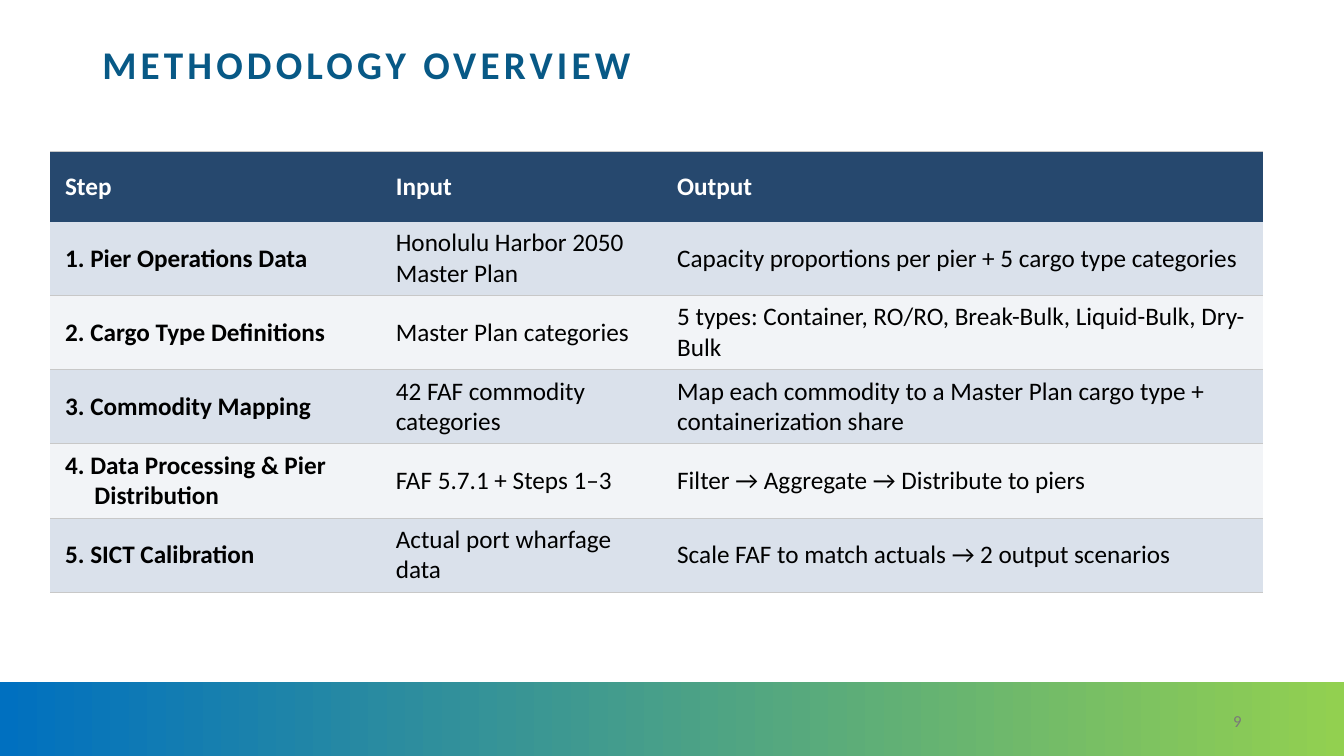
"""Build the methodology overview slide with its table of steps."""
from dataclasses import dataclass
from typing import Any, NamedTuple

from lxml.etree import SubElement
from pptx import Presentation
from pptx.dml.color import RGBColor as Rgb
from pptx.enum.shapes import MSO_SHAPE as Preset
from pptx.enum.text import MSO_ANCHOR as Anchor, PP_ALIGN as Align
from pptx.oxml.ns import qn
from pptx.util import Pt

EMU_PER_PX = 9525


@dataclass(frozen=True)
class Theme:
    font: str = "Calibri"
    title: str = "085986"
    header: str = "26486E"
    header_text: str = "FFFFFF"
    body_text: str = "000000"
    stripes: tuple[str, str] = ("DAE1EB", "F2F4F7")
    rule: str = "C8C8C8"
    number: str = "797979"
    band: tuple[str, str] = ("0070C0", "92D050")
    title_size: int = 28
    table_size: int = 18
    number_size: int = 12


class Box(NamedTuple):
    left: int
    top: int
    width: int
    height: int


class Label(NamedTuple):
    text: str
    box: Box
    size: int
    color: str
    bold: bool
    tracking: int
    paragraph: dict[str, Any]


class Step(NamedTuple):
    name: str
    source: str
    output: str


class Rule(NamedTuple):
    color: str
    points: float


THEME = Theme()
SLIDE = (1280, 720)
BAND = Box(0, 650, 1280, 70)
TABLE = Box(48, 144, 1155, 402)
COLUMNS = (315, 268, 572)
HANGING = 28
CELL_MARGINS = {"margin_left": 14, "margin_top": 6, "margin_right": 10, "margin_bottom": 6}

LABELS = (
    Label("METHODOLOGY OVERVIEW", Box(88, 38, 1104, 52), THEME.title_size, THEME.title,
          True, 300, {"line_spacing": 0.9}),
    Label("9", Box(904, 667, 288, 38), THEME.number_size, THEME.number,
          False, 0, {"alignment": Align.RIGHT}),
)
HEADER = Step("Step", "Input", "Output")
STEPS = (
    Step("1. Pier Operations Data", "Honolulu Harbor 2050 Master Plan",
         "Capacity proportions per pier + 5 cargo type categories"),
    Step("2. Cargo Type Definitions", "Master Plan categories",
         "5 types: Container, RO/RO, Break-Bulk, Liquid-Bulk, Dry-Bulk"),
    Step("3. Commodity Mapping", "42 FAF commodity categories",
         "Map each commodity to a Master Plan cargo type + containerization share"),
    Step("4. Data Processing & Pier Distribution", "FAF 5.7.1 + Steps 1–3",
         "Filter → Aggregate → Distribute to piers"),
    Step("5. SICT Calibration", "Actual port wharfage data",
         "Scale FAF to match actuals → 2 output scenarios"),
)
EDGES = (Rule(THEME.rule, 0.5), Rule(THEME.header, 1.5),
         *[Rule(THEME.rule, 0.5)] * (len(STEPS) - 1), Rule(THEME.rule, 0.75))


def px(length: int) -> int:
    """Turn px into EMU."""
    return length * EMU_PER_PX


def emu(box: Box) -> list[int]:
    """Give the four lengths of a box in EMU."""
    return [px(length) for length in box]


def assign(target: Any, values: dict[str, Any]) -> None:
    """Set each named format value on the target."""
    for name, value in values.items():
        setattr(target, name, value)


def write(paragraph: Any, text: str, size: int, color: str, bold: bool) -> Any:
    """Add one styled run to a paragraph."""
    run = paragraph.add_run()
    run.text = text
    assign(run.font, {"name": THEME.font, "size": Pt(size), "bold": bold})
    run.font.color.rgb = Rgb.from_string(color)
    return run


def draw_band(shapes: Any) -> None:
    """Draw the gradient band along the foot."""
    band = shapes.add_shape(Preset.RECTANGLE, *emu(BAND))
    band.shadow.inherit = False
    band.line.fill.background()
    band.fill.gradient()
    band.fill.gradient_angle = 0
    for stop, color in zip(band.fill.gradient_stops, THEME.band):
        stop.color.rgb = Rgb.from_string(color)


def draw_label(shapes: Any, label: Label) -> None:
    """Draw one line of text in its box."""
    frame = shapes.add_textbox(*emu(label.box)).text_frame
    assign(frame, {"word_wrap": True, "vertical_anchor": Anchor.MIDDLE})
    paragraph = frame.paragraphs[0]
    assign(paragraph, label.paragraph)
    run = write(paragraph, label.text, label.size, label.color, label.bold)
    if label.tracking:
        run.font._element.set("spc", str(label.tracking))


def draw_borders(cell: Any, top: Rule, bottom: Rule) -> None:
    """Rule a cell above and below and leave its sides open."""
    properties = cell._tc.get_or_add_tcPr()
    for side in ("a:lnL", "a:lnR"):
        SubElement(SubElement(properties, qn(side), w="0"), qn("a:noFill"))
    for side, rule in (("a:lnT", top), ("a:lnB", bottom)):
        line = SubElement(properties, qn(side), w=str(Pt(rule.points)))
        SubElement(SubElement(line, qn("a:solidFill")), qn("a:srgbClr"), val=rule.color)


def draw_table(shapes: Any) -> None:
    """Draw the header and the striped rows of steps."""
    rows = (HEADER, *STEPS)
    table = shapes.add_table(len(rows), len(COLUMNS), *emu(TABLE)).table
    assign(table, {"first_row": False, "horz_banding": False})
    for column, width in zip(table.columns, COLUMNS):
        column.width = px(width)
    margins = {name: px(margin) for name, margin in CELL_MARGINS.items()}
    for row, step in enumerate(rows):
        is_header = row == 0
        fill = THEME.header if is_header else THEME.stripes[(row - 1) % 2]
        color = THEME.header_text if is_header else THEME.body_text
        for column, text in enumerate(step):
            cell = table.cell(row, column)
            assign(cell, {**margins, "vertical_anchor": Anchor.MIDDLE})
            draw_borders(cell, EDGES[row], EDGES[row + 1])
            cell.fill.solid()
            cell.fill.fore_color.rgb = Rgb.from_string(fill)
            paragraph = cell.text_frame.paragraphs[0]
            if column == 0 and not is_header:
                indents = paragraph._p.get_or_add_pPr()
                indents.set("marL", str(px(HANGING)))
                indents.set("indent", str(-px(HANGING)))
            write(paragraph, text, THEME.table_size, color, is_header or column == 0)


def main() -> None:
    """Build and save the slide."""
    deck = Presentation()
    deck.slide_width, deck.slide_height = map(px, SLIDE)
    shapes = deck.slides.add_slide(deck.slide_layouts[6]).shapes
    draw_band(shapes)
    draw_table(shapes)
    for label in LABELS:
        draw_label(shapes, label)
    deck.save("out.pptx")


if __name__ == "__main__":
    main()
